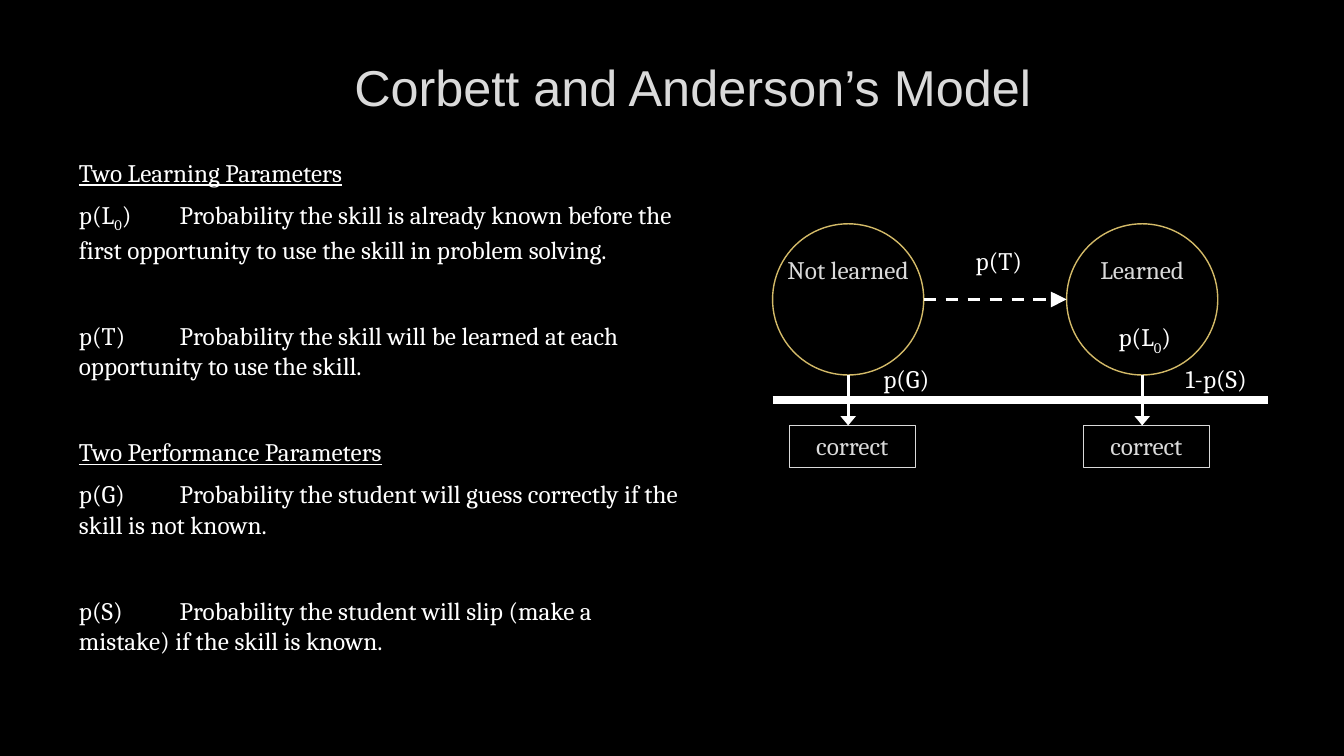
from pptx import Presentation
from pptx.dml.color import RGBColor
from pptx.enum.dml import MSO_LINE
from pptx.enum.shapes import MSO_CONNECTOR, MSO_SHAPE
from pptx.enum.text import MSO_ANCHOR, PP_ALIGN
from pptx.oxml.ns import qn
from pptx.util import Cm, Pt
from lxml.etree import SubElement

COLORS = {"black": "000000", "white": "FFFFFF", "silver": "DADADA", "gold": "D3BA68"}


def color(name):
    return RGBColor.from_string(COLORS[name])


def write(paragraph, text, font="Cambria", size=18, ink="white",
          underline=False, align=PP_ALIGN.LEFT, before=0, tab=None):
    paragraph.alignment = align
    paragraph.space_before = Pt(before)
    if tab:
        stops = SubElement(paragraph._p.get_or_add_pPr(), qn("a:tabLst"))
        SubElement(stops, qn("a:tab"), pos=str(Cm(tab)), algn="l")
    for index, part in enumerate(text.split("|")):
        run = paragraph.add_run()
        run.text = part
        run.font.name = font
        run.font.size = Pt(size)
        run.font.color.rgb = color(ink)
        run.font.underline = underline
        if index % 2:
            run.font._element.set("baseline", "-25000")


class ModelSlide:
    def __init__(self, presentation):
        self.slide = presentation.slides.add_slide(presentation.slide_layouts[6])
        self.shapes = self.slide.shapes
        background = self.slide.background.fill
        background.solid()
        background.fore_color.rgb = color("black")

    def text_box(self, left, top, width, height, paragraphs,
                 anchor=MSO_ANCHOR.TOP, **style):
        frame = self.shapes.add_textbox(Cm(left), Cm(top), Cm(width), Cm(height)).text_frame
        frame.word_wrap = True
        frame.vertical_anchor = anchor
        for index, (text, extra) in enumerate(paragraphs):
            paragraph = frame.add_paragraph() if index else frame.paragraphs[0]
            write(paragraph, text, **{**style, **extra})

    def label(self, left, top, width, text, **style):
        self.text_box(left, top, width, 1.02, [(text, {})], **style)

    def outline(self, kind, left, top, width, height, ink, weight, text=None):
        shape = self.shapes.add_shape(kind, Cm(left), Cm(top), Cm(width), Cm(height))
        shape.shadow.inherit = False
        shape.fill.solid()
        shape.fill.fore_color.rgb = color("black")
        shape.line.color.rgb = color(ink)
        shape.line.width = Pt(weight)
        if text:
            frame = shape.text_frame
            frame.vertical_anchor = MSO_ANCHOR.MIDDLE
            frame.margin_top = Cm(0.09)
            write(frame.paragraphs[0], text, ink="silver", align=PP_ALIGN.CENTER)

    def line(self, x1, y1, x2, y2, weight=2.25, dashed=False, head=None):
        connector = self.shapes.add_connector(
            MSO_CONNECTOR.STRAIGHT, Cm(x1), Cm(y1), Cm(x2), Cm(y2))
        connector.line.color.rgb = color("white")
        connector.line.width = Pt(weight)
        if dashed:
            connector.line.dash_style = MSO_LINE.DASH
        if head:
            SubElement(connector.line._get_or_add_ln(), qn("a:tailEnd"),
                       type="triangle", w="lg", len=head)
        SubElement(connector._element.spPr, qn("a:effectLst"))


def main():
    presentation = Presentation()
    presentation.slide_width = Cm(33.87)
    presentation.slide_height = Cm(19.05)
    model = ModelSlide(presentation)

    model.text_box(4.76, 0.64, 25.4, 3.07, [("Corbett and Anderson’s Model", {})],
                   anchor=MSO_ANCHOR.MIDDLE, font="Arial", size=36, ink="silver",
                   align=PP_ALIGN.CENTER)

    near, far = {"before": 8.5}, {"before": 40}
    model.text_box(1.74, 3.84, 15.82, 14.5, [
        ("Two Learning Parameters", {"underline": True}),
        ("p(L|0|)\tProbability the skill is already known before the first "
         "opportunity to use the skill in problem solving.", near),
        ("p(T)\tProbability the skill will be learned at each opportunity "
         "to use the skill.", far),
        ("Two Performance Parameters", {"underline": True, **far}),
        ("p(G)\tProbability the student will guess correctly if the skill "
         "is not known.", near),
        ("p(S)\tProbability the student will slip (make a mistake) if the "
         "skill is known.", far),
    ], tab=2.54)

    state_left, state_top, diameter, step = 19.47, 5.64, 3.81, 7.41
    state_middle = state_top + diameter / 2
    state_bottom = state_top + diameter
    answer_top = 10.72

    model.line(state_left, 10.08, 31.96, 10.08, weight=6)
    for index, state in enumerate(["Not learned", "Learned"]):
        left = state_left + index * step
        center = left + diameter / 2
        model.outline(MSO_SHAPE.OVAL, left, state_top, diameter, diameter, "gold", 1)
        model.label(center - 2.33, 6.28, 4.66, state, ink="silver", align=PP_ALIGN.CENTER)
        model.outline(MSO_SHAPE.RECTANGLE, left + 0.42, answer_top, 3.18, 1.06,
                      "silver", 0.75, text="correct")
        model.line(center, state_bottom, center, answer_top, head="med")

    model.line(state_left + diameter, state_middle, state_left + step, state_middle,
               dashed=True, head="lg")
    for left, top, width, probability in [
        (24.34, 6.06, 1.9, "p(T)"),
        (22.01, 9.02, 1.9, "p(G)"),
        (29.63, 9.02, 2.96, "1-p(S)"),
        (27.94, 7.98, 2.54, "p(L|0|)"),
    ]:
        model.label(left, top, width, probability)

    presentation.save("out.pptx")


if __name__ == "__main__":
    main()
